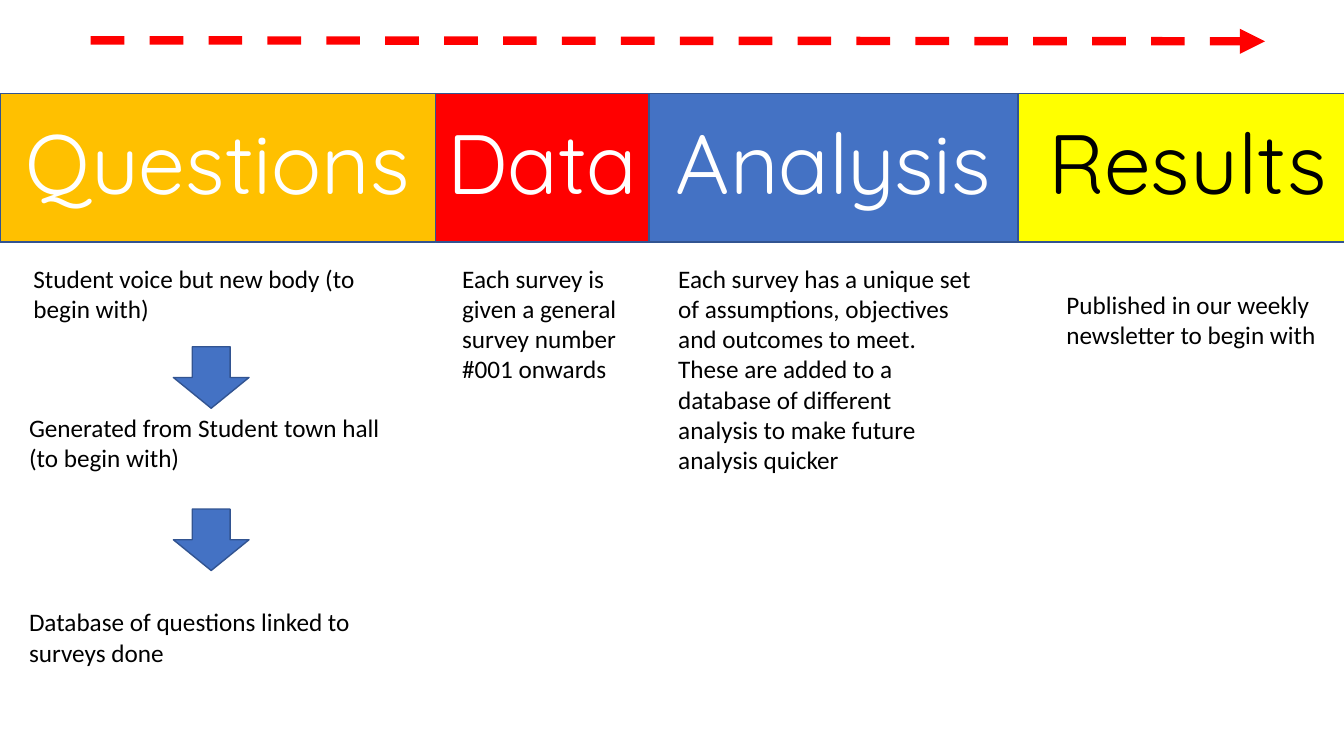
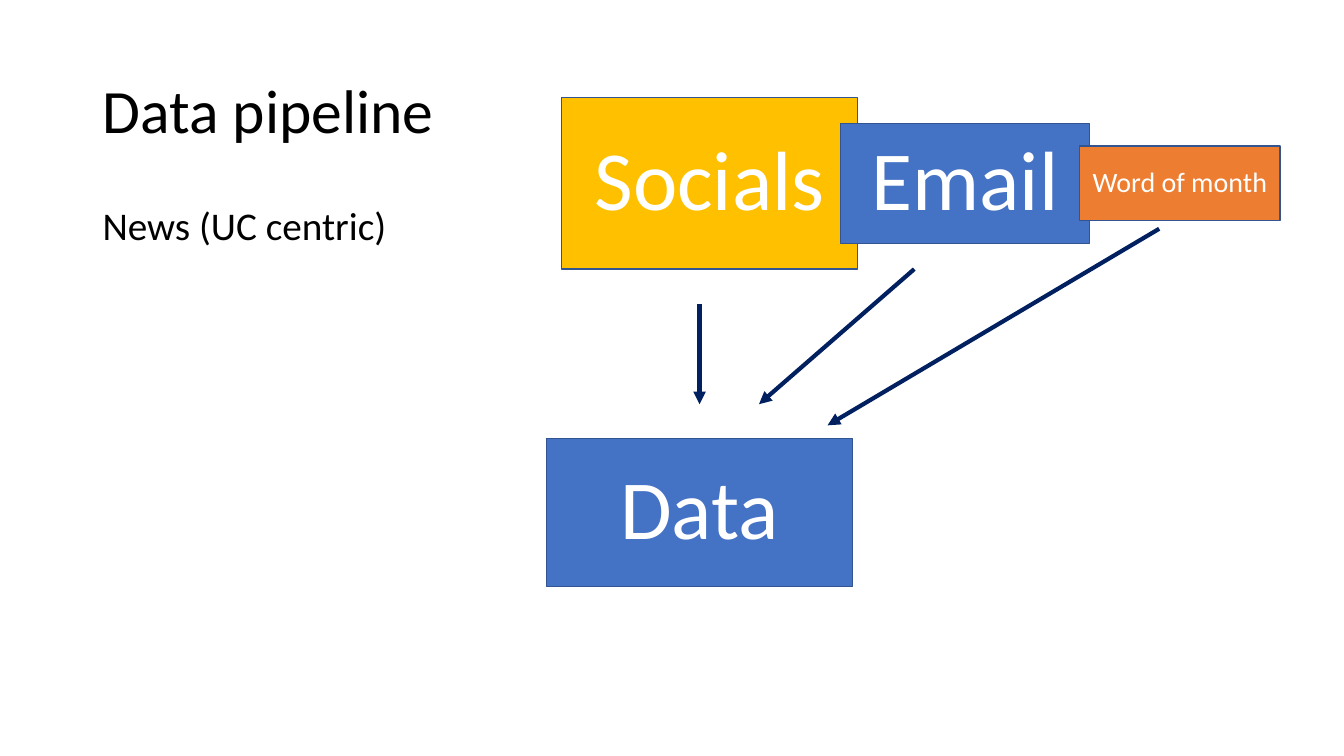
import collections

import lxml.etree
import pptx
import pptx.dml.color
import pptx.enum.dml
import pptx.enum.shapes
import pptx.enum.text
import pptx.oxml.ns
import pptx.util

RGBColor = pptx.dml.color.RGBColor
Align = pptx.enum.text.PP_ALIGN
Anchor = pptx.enum.text.MSO_ANCHOR
Shape = pptx.enum.shapes.MSO_SHAPE

BLACK = RGBColor(0x00, 0x00, 0x00)
WHITE = RGBColor(0xFF, 0xFF, 0xFF)
BLUE = RGBColor(0x44, 0x72, 0xC4)
OUTLINE = RGBColor(0x32, 0x54, 0x91)
NAVY = RGBColor(0x00, 0x20, 0x60)
RED = RGBColor(0xFF, 0x00, 0x00)
YELLOW = RGBColor(0xFF, 0xFF, 0x00)
AMBER = RGBColor(0xFF, 0xC0, 0x00)
ORANGE = RGBColor(0xED, 0x7D, 0x31)

BODY_FONT = "Calibri"
HEADING_FONT = "Quicksand"
SLIDE_WIDTH = pptx.util.Inches(13.33)
SLIDE_HEIGHT = pptx.util.Inches(7.5)
COLUMNS, ROWS = 40, 30

HEADER_ROWS = 5.9
ARROW_COLUMNS, ARROW_ROWS = 2.25, 2.44

Box = collections.namedtuple("Box", "left top width height")
Note = collections.namedtuple("Note", "left top width height text")
Stage = collections.namedtuple("Stage", "name width fill color notes arrow_tops")
Channel = collections.namedtuple("Channel", "name left width height fill size")

STAGES = [
    Stage("Questions", 12.96, AMBER, WHITE, [
        Note(0.7, 6.54, 11.8, 2.84, "Student voice but new body (to begin with)"),
        Note(0.57, 12.46, 11.8, 2.84, "Generated from Student town hall (to begin with)"),
        Note(0.57, 20.18, 11.8, 2.84, "Database of questions linked to surveys done"),
    ], [10.06, 16.5]),
    Stage("Data", 6.36, RED, WHITE, [
        Note(0.5, 6.54, 5.34, 5.24,
             "Each survey is given a general survey number #001 onwards"),
    ], []),
    Stage("Analysis", 10.98, BLUE, WHITE, [
        Note(0.57, 6.54, 9.48, 8.88,
             "Each survey has a unique set of assumptions, objectives and outcomes "
             "to meet. These are added to a database of different analysis to make "
             "future analysis quicker"),
    ], []),
    Stage("Results", 10.08, YELLOW, BLACK, [
        Note(1.14, 7.58, 8.5, 2.84, "Published in our weekly newsletter to begin with"),
    ], []),
]

CHANNELS = [
    Channel("Socials", 0.45, 8.82, 6.8, AMBER, 60),
    Channel("Email", 8.76, 7.41, 4.76, BLUE, 60),
    Channel("Word of month", 15.87, 5.97, 2.96, ORANGE, 20),
]
FLOWS = [
    ((4.56, 8.2), (4.56, 12.16)),
    ((10.95, 6.8), (6.33, 12.16)),
    ((18.24, 5.2), (8.37, 13)),
]


def across(columns):
    return round(SLIDE_WIDTH * columns / COLUMNS)


def down(rows):
    return round(SLIDE_HEIGHT * rows / ROWS)


def emu(box):
    return across(box.left), down(box.top), across(box.width), down(box.height)


def within(parent, left, top, width, height):
    return Box(parent.left + left, parent.top + top, width, height)


def write(shape, text, size, color=BLACK, font=BODY_FONT, align=Align.LEFT,
          anchor=Anchor.TOP, line_spacing=1.0):
    frame = shape.text_frame
    frame.word_wrap = True
    frame.vertical_anchor = anchor
    paragraph = frame.paragraphs[0]
    paragraph.text = text
    paragraph.alignment = align
    paragraph.line_spacing = line_spacing
    paragraph.font.size = pptx.util.Pt(size)
    paragraph.font.name = font
    paragraph.font.color.rgb = color


def add_text(slide, box, text, size, line_spacing=1.0):
    write(slide.shapes.add_textbox(*emu(box)), text, size, line_spacing=line_spacing)


def add_filled(slide, kind, box, fill):
    shape = slide.shapes.add_shape(kind, *emu(box))
    shape.shadow.inherit = False
    shape.fill.solid()
    shape.fill.fore_color.rgb = fill
    shape.line.color.rgb = OUTLINE
    shape.line.width = pptx.util.Pt(1)
    return shape


def add_label(slide, box, text, fill, size=60, color=WHITE, font=BODY_FONT):
    shape = add_filled(slide, Shape.RECTANGLE, box, fill)
    write(shape, text, size, color, font, Align.CENTER, Anchor.MIDDLE, 0.9)


def add_arrow(slide, start, end, color, width, dash=None):
    connector = slide.shapes.add_connector(
        pptx.enum.shapes.MSO_CONNECTOR.STRAIGHT,
        across(start[0]), down(start[1]), across(end[0]), down(end[1]))
    connector.line.color.rgb = color
    connector.line.width = pptx.util.Pt(width)
    if dash:
        connector.line.dash_style = dash
    qualified = pptx.oxml.ns.qn
    properties = connector._element.spPr
    outline = properties.find(qualified("a:ln"))
    lxml.etree.SubElement(outline, qualified("a:tailEnd"), type="triangle")
    lxml.etree.SubElement(properties, qualified("a:effectLst"))


def add_stage(slide, box, stage):
    add_label(slide, within(box, 0, 0, box.width, HEADER_ROWS), stage.name,
              stage.fill, color=stage.color, font=HEADING_FONT)
    for note in stage.notes:
        add_text(slide, within(box, *note[:4]), note.text, 18)
    for top in stage.arrow_tops:
        add_filled(slide, Shape.DOWN_ARROW,
                   within(box, 5.16, top, ARROW_COLUMNS, ARROW_ROWS), BLUE)


def add_pipeline(slide, box):
    add_label(slide, within(box, 0, 13.52, 9.12, 5.88), "Data", BLUE)
    tallest = max(channel.height for channel in CHANNELS)
    for channel in CHANNELS:
        top = (tallest - channel.height) / 2
        add_label(slide, within(box, channel.left, top, channel.width, channel.height),
                  channel.name, channel.fill, channel.size)
    for flow in FLOWS:
        start, end = [(box.left + left, box.top + top) for left, top in flow]
        add_arrow(slide, start, end, NAVY, 3)


def build_process_slide(presentation):
    slide = presentation.slides.add_slide(presentation.slide_layouts[6])
    left, top = 0, 3.7
    for stage in STAGES:
        add_stage(slide, Box(left, top, stage.width, ROWS - top), stage)
        left += stage.width
    add_arrow(slide, (2.7, 1.6), (37.65, 1.64), RED, 6,
              pptx.enum.dml.MSO_LINE.DASH)


def build_pipeline_slide(presentation):
    slide = presentation.slides.add_slide(presentation.slide_layouts[5])
    title = slide.shapes.title
    title.left, title.top, title.width, title.height = emu(Box(2.76, 1.6, 34.5, 5.8))
    write(title, "Data pipeline", 44, anchor=Anchor.MIDDLE, line_spacing=0.9)
    add_text(slide, Box(2.76, 8, 34.5, 19.04), "News (UC centric)", 28, 0.9)
    add_pipeline(slide, Box(16.26, 3.88, 21.84, 19.4))


def main():
    presentation = pptx.Presentation()
    presentation.slide_width = SLIDE_WIDTH
    presentation.slide_height = SLIDE_HEIGHT
    build_process_slide(presentation)
    build_pipeline_slide(presentation)
    presentation.save("out.pptx")


if __name__ == "__main__":
    main()
